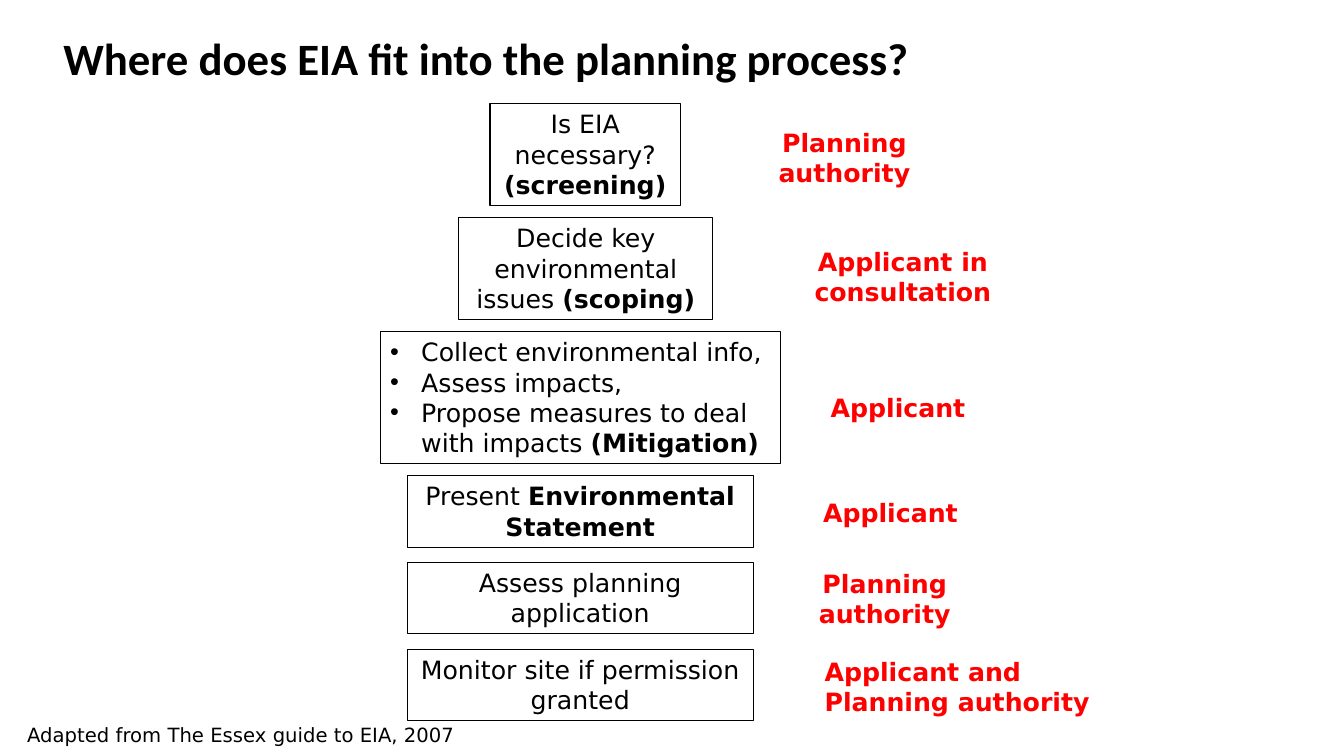
from lxml.etree import SubElement
from pptx import Presentation
from pptx.dml.color import RGBColor
from pptx.enum.shapes import MSO_SHAPE as Shape
from pptx.enum.text import MSO_ANCHOR as Anchor, PP_ALIGN as Align
from pptx.oxml.ns import qn
from pptx.util import Pt

PX = 9144  # 100 px to the inch
INK = {name: RGBColor.from_string(code) for name, code in
       {"black": "000000", "white": "FFFFFF", "red": "FF0000"}.items()}
SANS = "DejaVu Sans"
INDENT = 31


def write(box, lines, size=18, face=SANS, ink="black", bold=None, align=Align.LEFT, bullet=False):
    """Fill a box with lines, each a (plain, bold) pair of texts."""
    frame = box.text_frame
    frame.word_wrap = True
    frame.vertical_anchor = Anchor.TOP
    for i, (plain, strong) in enumerate(lines):
        para = frame.add_paragraph() if i else frame.paragraphs[0]
        para.alignment = align
        if bullet:
            props = para._p.get_or_add_pPr()
            props.set("marL", str(INDENT * PX))
            props.set("indent", str(-INDENT * PX))
            SubElement(props, qn("a:buFont"), typeface="Arial")
            SubElement(props, qn("a:buChar"), char="•")
        font = para.font
        font.name, font.size, font.bold = face, Pt(size), bold
        font.color.rgb = INK[ink]
        para.add_run().text = plain
        if strong:
            run = para.add_run()
            run.text = strong
            run.font.bold = True


def place(*lengths):
    return [n * PX for n in lengths]


deck = Presentation()
deck.slide_width, deck.slide_height = place(1333, 750)
slide = deck.slides.add_slide(deck.slide_layouts[6])

source = slide.shapes.add_textbox(*place(17, 712, 542, 34))
write(source, [("Adapted from The Essex guide to EIA, 2007", "")], size=14)
title = slide.shapes.add_textbox(*place(53, 26, 1057, 64))
write(title, [("Where does EIA fit into the planning process?", "")],
      size=32, face="Calibri", bold=True)

# Each step: its box, its lines, then the place and name of who does it
steps = [
    ((486, 103, 189, 101), [("Is EIA necessary? ", "(screening)")],
     (743, 121, 189, 71), "Planning authority"),
    ((455, 216, 252, 101), [("Decide key environmental issues ", "(scoping)")],
     (785, 239, 221, 71), "Applicant in consultation"),
    ((377, 329, 397, 131), [("Collect environmental info,", ""), ("Assess impacts,", ""),
                            ("Propose measures to deal with impacts ", "(Mitigation)")],
     (785, 384, 220, 40), "Applicant "),
    ((404, 472, 343, 71), [("Present ", "Environmental Statement")],
     (777, 488, 221, 40), "Applicant "),
    ((404, 558, 343, 71), [("Assess planning application", "")],
     (783, 559, 189, 71), "Planning authority"),
    ((404, 644, 343, 71), [("Monitor site if permission granted", "")],
     (808, 646, 287, 71), "Applicant and Planning authority"),
]

for step in steps:
    spot, lines, side, actor = step
    group = slide.shapes.add_group_shape().shapes
    box = group.add_shape(Shape.RECTANGLE, *place(*spot))
    box.shadow.inherit = False
    box.fill.solid()
    box.fill.fore_color.rgb = INK["white"]
    box.line.color.rgb = INK["black"]
    box.line.width = Pt(0.75)
    listed = len(lines) > 1
    write(box, lines, align=Align.LEFT if listed else Align.CENTER, bullet=listed)

    label = group.add_textbox(*place(*side))
    write(label, [(actor, "")], ink="red", bold=True,
          align=Align.LEFT if step is steps[-1] else Align.CENTER)

deck.save("out.pptx")
